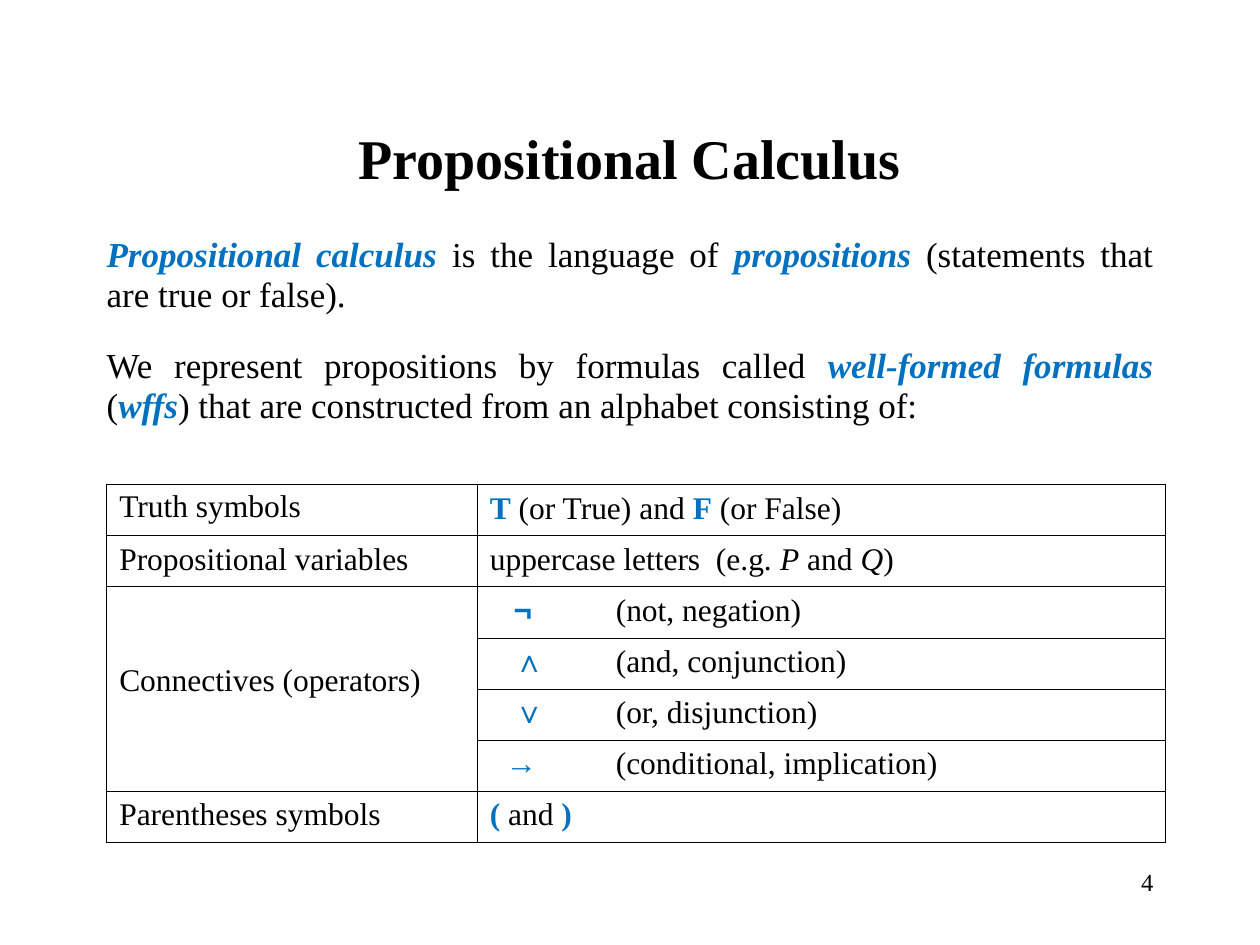
from lxml import etree
from pptx import Presentation
from pptx.dml.color import RGBColor
from pptx.enum.text import MSO_ANCHOR, PP_ALIGN
from pptx.oxml.ns import qn
from pptx.util import Cm, Pt

LEFT, CENTER, RIGHT, JUSTIFY = PP_ALIGN.LEFT, PP_ALIGN.CENTER, PP_ALIGN.RIGHT, PP_ALIGN.JUSTIFY
TOP, MIDDLE = MSO_ANCHOR.TOP, MSO_ANCHOR.MIDDLE
BLACK, BLUE = "000000", "0070C0"
FONT = "Times New Roman"

TERM = {"color": BLUE, "bold": True, "italic": True}
KEY = {"color": BLUE, "bold": True}
SYMBOL = {"color": BLUE, "bold": True, "font": "Arial"}
ITALIC = {"italic": True}
PLAIN = {}

TITLE = [[("Propositional Calculus", {"bold": True})]]
BODY = [
    [("Propositional calculus ", TERM), ("is the language of ", PLAIN), ("propositions", TERM),
     (" (statements that are true or false).", PLAIN)],
    [("We represent propositions by formulas called ", PLAIN), ("well-formed formulas", TERM),
     (" (", PLAIN), ("wffs", TERM),
     (") that are constructed from an alphabet consisting of:", PLAIN)],
]
PAGE_NUMBER = [[("4", PLAIN)]]
LABELS = {0: "Truth symbols", 1: "Propositional variables",
          2: "Connectives (operators)", 6: "Parentheses symbols"}
DESCRIPTIONS = {
    0: [("T", KEY), (" (or True) and ", PLAIN), ("F", KEY), (" (or False)", PLAIN)],
    1: [("uppercase letters  (e.g. ", PLAIN), ("P", ITALIC), (" and ", PLAIN),
        ("Q", ITALIC), (")", PLAIN)],
    6: [("(", KEY), (" and ", PLAIN), (")", KEY)],
}
CONNECTIVES = [("¬", "(not, negation)", 0.48), ("∧", "(and, conjunction)", 0.48),
               ("∨", "(or, disjunction)", 0.48), ("→", "(conditional, implication)", 0.32)]
FIRST_CONNECTIVE, LAST_CONNECTIVE = 2, 5
ROW_COUNT, ROW_HEIGHT = 7, 1.03
COLUMN_WIDTHS = (7.47, 13.87)
MEANING_INDENT = 2.54


def color(value):
    return RGBColor.from_string(value)


def write(frame, paragraphs, size=18, align=LEFT, spacing=1.0, after=0, symbol_indent=None):
    frame.word_wrap = True
    for index, runs in enumerate(paragraphs):
        paragraph = frame.add_paragraph() if index else frame.paragraphs[0]
        paragraph.alignment = align
        paragraph.line_spacing = spacing
        paragraph.space_after = Pt(after)
        if symbol_indent is not None:
            properties = paragraph._p.get_or_add_pPr()
            properties.set("marL", str(Cm(MEANING_INDENT)))
            properties.set("indent", str(Cm(symbol_indent) - Cm(MEANING_INDENT)))
        for text, style in runs:
            run = paragraph.add_run()
            run.text = text
            run.font.size = Pt(size)
            run.font.name = style.get("font", FONT)
            run.font.bold = style.get("bold", False)
            run.font.italic = style.get("italic", False)
            run.font.color.rgb = color(style.get("color", BLACK))


def add_text(slide, paragraphs, left, top, width, height, anchor=TOP, **text_format):
    frame = slide.shapes.add_textbox(Cm(left), Cm(top), Cm(width), Cm(height)).text_frame
    frame.vertical_anchor = anchor
    write(frame, paragraphs, **text_format)


def format_cell(cell):
    cell.fill.background()
    properties = cell._tc.get_or_add_tcPr()
    for index, side in enumerate(("lnL", "lnR", "lnT", "lnB")):
        line = etree.Element(qn(f"a:{side}"), w=str(Pt(0.45)))
        fill = etree.SubElement(line, qn("a:solidFill"))
        etree.SubElement(fill, qn("a:srgbClr"), val=BLACK)
        properties.insert(index, line)


def add_symbol_table(slide):
    table = slide.shapes.add_table(ROW_COUNT, len(COLUMN_WIDTHS), Cm(2.15), Cm(9.77),
                                   Cm(sum(COLUMN_WIDTHS)), Cm(ROW_COUNT * ROW_HEIGHT)).table
    table.first_row = table.horz_banding = False
    for column, width in zip(table.columns, COLUMN_WIDTHS):
        column.width = Cm(width)
    for row in table.rows:
        row.height = Cm(ROW_HEIGHT)
    for cell in table.iter_cells():
        format_cell(cell)
    connectives_cell = table.cell(FIRST_CONNECTIVE, 0)
    connectives_cell.merge(table.cell(LAST_CONNECTIVE, 0))
    connectives_cell.vertical_anchor = MIDDLE
    connectives_cell.margin_bottom = Cm(0.45)
    for row, label in LABELS.items():
        write(table.cell(row, 0).text_frame, [[(label, PLAIN)]], spacing=1.0 if row else 0.95)
    for row, runs in DESCRIPTIONS.items():
        write(table.cell(row, 1).text_frame, [runs])
    for row, (symbol, meaning, indent) in enumerate(CONNECTIVES, FIRST_CONNECTIVE):
        write(table.cell(row, 1).text_frame, [[(symbol + "\t", SYMBOL), (meaning, PLAIN)]],
              symbol_indent=indent)


def main():
    presentation = Presentation()
    presentation.slide_width, presentation.slide_height = Cm(25.4), Cm(19.05)
    slide = presentation.slides.add_slide(presentation.slide_layouts[6])
    add_text(slide, TITLE, 1.9, 1.7, 21.6, 2.95, anchor=MIDDLE, size=32, align=CENTER)
    add_text(slide, BODY, 1.9, 4.62, 21.6, 12.3, size=20, align=JUSTIFY, spacing=0.95, after=18)
    add_text(slide, PAGE_NUMBER, 18.2, 17.35, 5.3, 1.27, size=14, align=RIGHT)
    add_symbol_table(slide)
    presentation.save("out.pptx")


if __name__ == "__main__":
    main()
